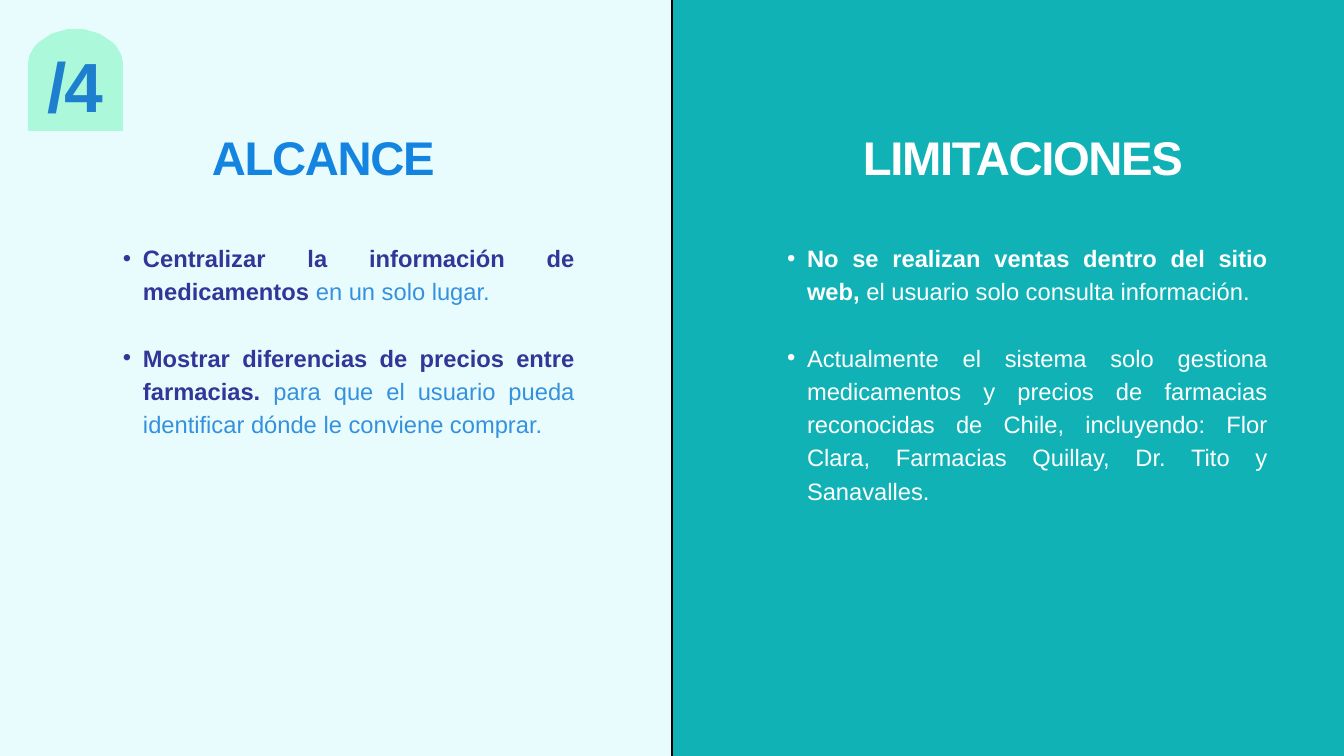
"""Build the slide that sets the project's scope beside its limitations."""
import math

import pptx
import pptx.dml.color
import pptx.enum.shapes
import pptx.enum.text
import pptx.oxml.ns
import pptx.util
from lxml import etree

PX = 914400 / 67.2
BLUE, SKY, INDIGO, WHITE = "1484E1", "3591DD", "343598", "FFFFFF"
ALIGN = pptx.enum.text.PP_ALIGN


def color(value):
    return pptx.dml.color.RGBColor.from_string(value)


def write(box, paragraphs, *, frame, size, leading, align=ALIGN.JUSTIFY, tracking=0, bullet=None):
    box.left, box.top, box.width, box.height = (round(length * PX) for length in frame)
    text = box.text_frame
    text.word_wrap = True
    text.auto_size = pptx.enum.text.MSO_AUTO_SIZE.NONE
    text.vertical_anchor = pptx.enum.text.MSO_ANCHOR.TOP
    text.margin_left = text.margin_top = text.margin_right = text.margin_bottom = 0
    for index, spans in enumerate(paragraphs):
        para = text.add_paragraph() if index else text.paragraphs[0]
        para.alignment = align
        para.line_spacing = pptx.util.Pt(leading)
        para.space_before = pptx.util.Pt(leading if index else 0)
        para.space_after = pptx.util.Pt(0)
        properties = para._p.get_or_add_pPr()
        properties.set("marL", str(round(40 * PX) if bullet else 0))
        properties.set("indent", str(round(-20 * PX) if bullet else 0))
        if bullet:
            etree.SubElement(properties, pptx.oxml.ns.qn("a:buChar"), char=bullet)
        for words, bold, tint in spans:
            span = para.add_run()
            span.text = words
            span.font.name = "Arial"
            span.font.size = pptx.util.Pt(size)
            span.font.bold = bold
            span.font.color.rgb = color(tint)
            span.font._element.set("spc", str(round(tracking * 100)))


deck = pptx.Presentation()
deck.slide_width = round(1344 * PX)
deck.slide_height = round(756 * PX)
page = deck.slides.add_slide(deck.slide_layouts.get_by_name("Comparison"))
page.background.fill.solid()
page.background.fill.fore_color.rgb = color("E9FCFD")
holders = {holder.placeholder_format.idx: holder for holder in page.placeholders}
for index in set(holders) - {0, 2, 3, 4}:
    holders[index]._element.getparent().remove(holders[index]._element)

panel = page.shapes.add_shape(
    pptx.enum.shapes.MSO_SHAPE.RECTANGLE,
    *(round(length * PX) for length in (672, -52, 761, 874)),
)
panel.shadow.inherit = False
panel.fill.solid()
panel.fill.fore_color.rgb = color("11B2B6")
panel.line.color.rgb = color("000000")
panel.line.width = pptx.util.Pt(3)
page.shapes._spTree.insert(2, panel._element)

arch = [
    (75.5 - 47.5 * math.cos(math.pi * step / 40), 65 - 36 * math.sin(math.pi * step / 40))
    for step in range(41)
]
builder = page.shapes.build_freeform(28, 131, scale=PX)
builder.add_line_segments(arch + [(123, 131)], close=True)
badge = builder.convert_to_shape()
badge.shadow.inherit = False
badge.fill.solid()
badge.fill.fore_color.rgb = color("ABF8DA")
badge.line.fill.background()

number = page.shapes.add_textbox(0, 0, 0, 0)
write(number, [[("/4", True, "1F7FCF")]], frame=(28, 65, 95, 66),
      size=74.6, leading=65.7, align=ALIGN.CENTER, tracking=-2.2)

headings = [
    (holders[0], "ALCANCE", BLUE, (212, 140, 253, 48)),
    (holders[3], "LIMITACIONES", WHITE, (863, 140, 380, 48)),
]
for holder, words, tint, frame in headings:
    write(holder, [[(words, True, tint)]], frame=frame, size=50.6, leading=48.6, tracking=-1.5)

scope = [
    [("Centralizar la información de medicamentos ", True, INDIGO),
     ("en un solo lugar.", False, SKY)],
    [("Mostrar diferencias de precios entre farmacias.", True, INDIGO),
     (" para que el usuario pueda identificar dónde le conviene comprar.", False, SKY)],
]
limits = [
    [("No se realizan ventas dentro del sitio web,", True, WHITE),
     (" el usuario solo consulta información.", False, WHITE)],
    [("Actualmente el sistema solo gestiona medicamentos y precios de farmacias "
      "reconocidas de Chile, incluyendo: Flor Clara, Farmacias Quillay, Dr. Tito y "
      "Sanavalles.", False, WHITE)],
]
for holder, items, frame in [
    (holders[2], scope, (103, 239, 472, 263)),
    (holders[4], limits, (767, 239, 501, 329)),
]:
    write(holder, items, frame=frame, size=25.4, leading=35.6, bullet="•")

deck.save("out.pptx")
